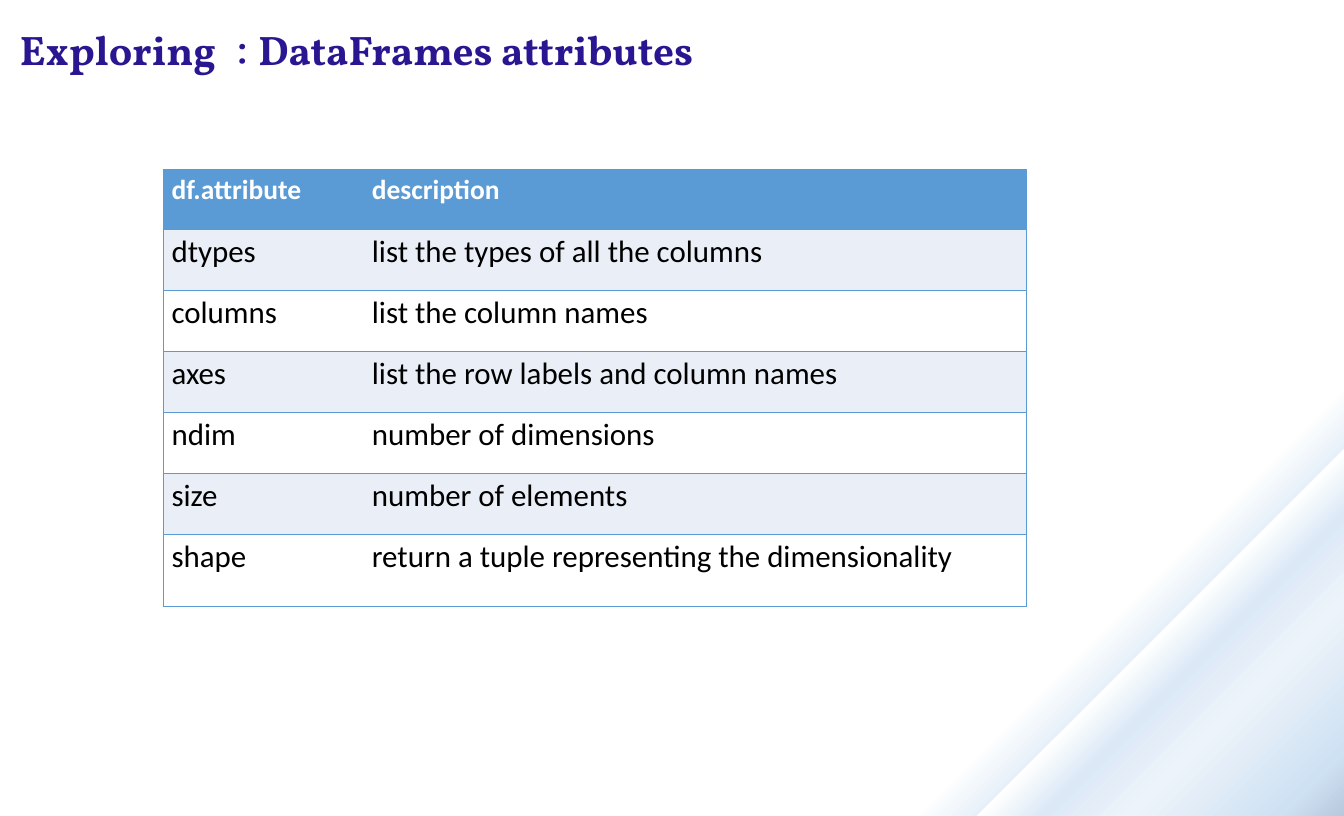
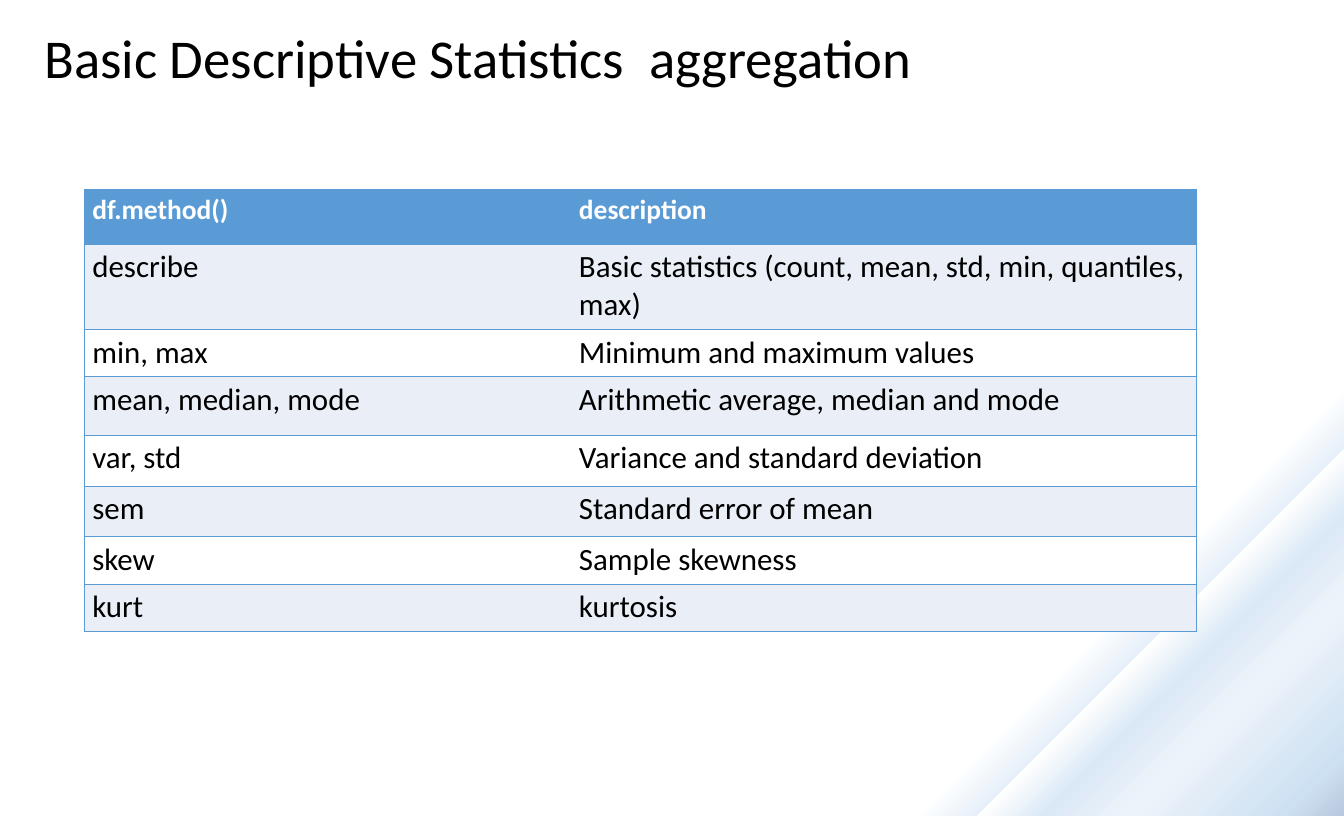
import lxml.etree
import pptx
import pptx.dml.color
import pptx.enum.text
import pptx.oxml.ns
import pptx.util

Cm = pptx.util.Cm
qn = pptx.oxml.ns.qn


def color(value):
    return pptx.dml.color.RGBColor.from_string(value)


class Deck:
    font = "Calibri"
    title_font = "Vollkorn"
    black = "000000"
    white = "FFFFFF"
    navy = "2A1690"
    blue = "5B9BD5"
    band = "EAEFF7"
    background_stops = [
        (80, "FFFFFF"), (83, "E7F0F9"), (83, "FFFFFF"), (86, "DBE9F6"),
        (90, "EDF3FA"), (97, "CEE1F2"), (100, "B9C8DD"),
    ]

    def __init__(self, width, height):
        self.presentation = pptx.Presentation()
        self.presentation.slide_width = Cm(width)
        self.presentation.slide_height = Cm(height)
        self.slide = None
        self.paint_background()

    def paint_background(self):
        master = self.presentation.slide_master
        fill = master.background.fill
        fill.gradient()
        fill.gradient_angle = 315
        stops = master.element.find(".//" + qn("a:gsLst"))
        for stop in list(stops):
            stops.remove(stop)
        for position, value in self.background_stops:
            stop = lxml.etree.SubElement(stops, qn("a:gs"), pos=str(position * 1000))
            lxml.etree.SubElement(stop, qn("a:srgbClr"), val=value)

    def add_slide(self):
        layout = self.presentation.slide_layouts.get_by_name("Title Only")
        self.slide = self.presentation.slides.add_slide(layout)

    def add_run(self, paragraph, text, size, value, bold=False, font=None):
        run = paragraph.add_run()
        run.text = text
        run.font.name = font or self.font
        run.font.size = pptx.util.Pt(size)
        run.font.bold = bold
        run.font.color.rgb = color(value)

    def add_title(self, left, top, height, runs, value, font=None):
        title = self.slide.shapes.title
        title.left, title.top = Cm(left), Cm(top)
        title.width, title.height = Cm(35.7), Cm(height)
        frame = title.text_frame
        frame.word_wrap = True
        frame.auto_size = pptx.enum.text.MSO_AUTO_SIZE.NONE
        frame.vertical_anchor = pptx.enum.text.MSO_ANCHOR.MIDDLE
        paragraph = frame.paragraphs[0]
        paragraph.alignment = pptx.enum.text.PP_ALIGN.LEFT
        paragraph.line_spacing = 0.9
        for text, size, bold in runs:
            self.add_run(paragraph, text, size, value, bold, font)

    def add_borders(self, cell, visible_sides):
        properties = cell._tc.get_or_add_tcPr()
        for index, side in enumerate("LRTB"):
            line = lxml.etree.Element(qn("a:ln" + side), w="12700")
            if side in visible_sides:
                fill = lxml.etree.SubElement(line, qn("a:solidFill"))
                lxml.etree.SubElement(fill, qn("a:srgbClr"), val=self.blue)
            else:
                lxml.etree.SubElement(line, qn("a:noFill"))
            properties.insert(index, line)

    def add_table(self, left, top, widths, heights, rows):
        table = self.slide.shapes.add_table(
            len(rows), len(widths), Cm(left), Cm(top), Cm(sum(widths)), Cm(sum(heights))
        ).table
        table.horz_banding = False
        for column, width in zip(table.columns, widths):
            column.width = Cm(width)
        for row, height in zip(table.rows, heights):
            row.height = Cm(height)
        for row_index, texts in enumerate(rows):
            header = row_index == 0
            if header:
                background = self.blue
            else:
                background = self.band if row_index % 2 else self.white
            for column_index, text in enumerate(texts):
                cell = table.cell(row_index, column_index)
                cell.fill.solid()
                cell.fill.fore_color.rgb = color(background)
                self.add_borders(cell, "LTB" if column_index == 0 else "RTB")
                self.add_run(
                    cell.text_frame.paragraphs[0], text,
                    24 if header else 27, self.white if header else self.black, header,
                )

    def save(self):
        self.presentation.save("out.pptx")


def main():
    deck = Deck(41.4, 25.15)

    deck.add_slide()
    deck.add_title(
        0.36, 0.33, 2.36,
        [("Exploring", 36, True), ("  : ", 44, False), ("DataFrames attributes", 36, True)],
        deck.navy, deck.title_font,
    )
    deck.add_table(
        5.03, 5.23, [6.17, 20.42], [1.83] + [1.88] * 5 + [2.24],
        [
            ("df.attribute", "description"),
            ("dtypes", "list the types of all the columns"),
            ("columns", "list the column names"),
            ("axes", "list the row labels and column names"),
            ("ndim", "number of dimensions"),
            ("size", "number of elements"),
            ("shape", "return a tuple representing the dimensionality"),
        ],
    )

    deck.add_slide()
    deck.add_title(
        1.12, 0.74, 2.24,
        [("Basic Descriptive Statistics  aggregation", 47.8, False)], deck.black,
    )
    deck.add_table(
        2.59, 5.84, [14.99, 19.28], [1.68, 2.64, 1.45, 1.8, 1.57, 1.57, 1.45, 1.45],
        [
            ("df.method()", "description"),
            ("describe", "Basic statistics (count, mean, std, min, quantiles, max)"),
            ("min, max", "Minimum and maximum values"),
            ("mean, median, mode", "Arithmetic average, median and mode"),
            ("var, std", "Variance and standard deviation"),
            ("sem", "Standard error of mean"),
            ("skew", "Sample skewness"),
            ("kurt", "kurtosis"),
        ],
    )

    deck.save()


if __name__ == "__main__":
    main()
